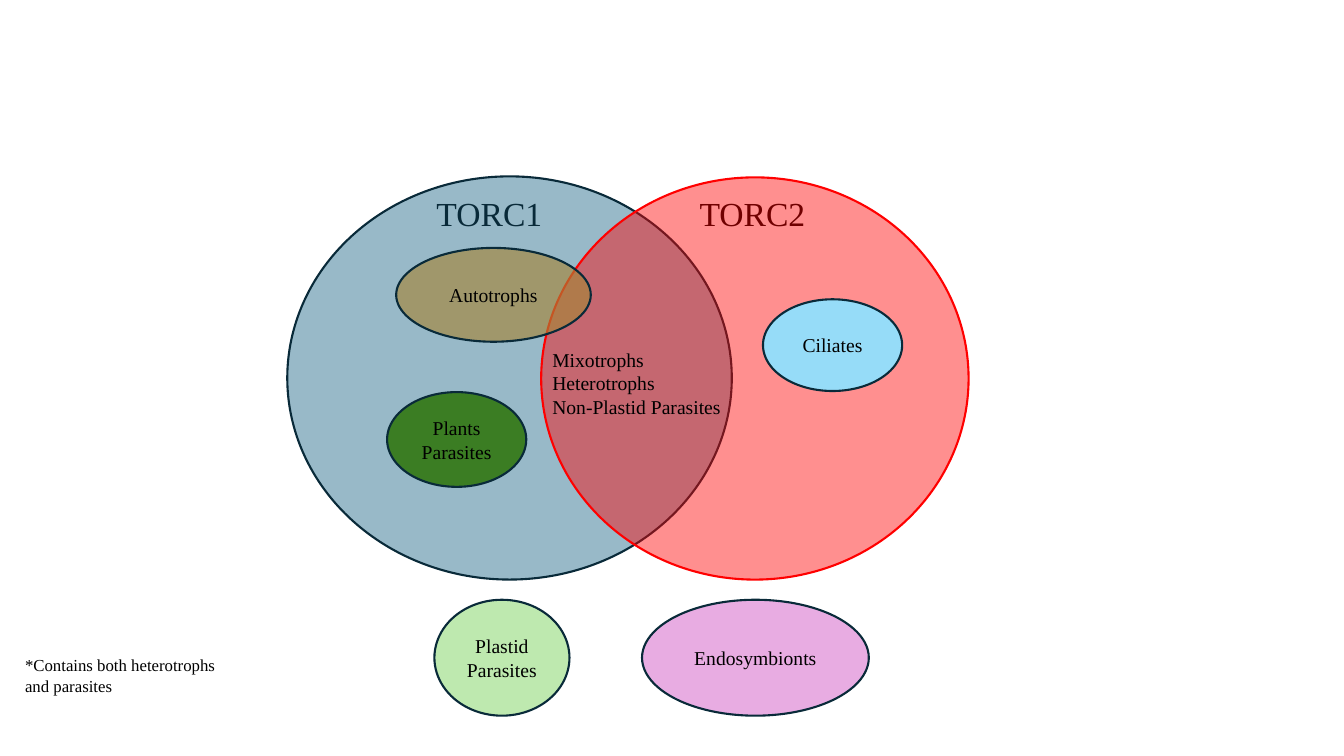
import pptx
import pptx.dml.color
import pptx.enum.shapes
import pptx.enum.text
import pptx.oxml.ns
import pptx.util
from lxml import etree

Pt = pptx.util.Pt
LEFT = pptx.enum.text.PP_ALIGN.LEFT
CENTER = pptx.enum.text.PP_ALIGN.CENTER


def color(hex_string):
    return pptx.dml.color.RGBColor.from_string(hex_string)


def write(shape, lines, size, alignment):
    text_frame = shape.text_frame
    text_frame.word_wrap = True
    text_frame.text = "\n".join(lines)
    for paragraph in text_frame.paragraphs:
        paragraph.alignment = alignment
        paragraph.font.name = "Times New Roman"
        paragraph.font.size = Pt(size)
        paragraph.font.color.rgb = color("000000")


presentation = pptx.Presentation()
presentation.slide_width = Pt(960)
presentation.slide_height = Pt(540)
slide = presentation.slides.add_slide(presentation.slide_layouts[6])

labels = [
    (480.2, 133.9, 114.5, 36, ["TORC2"], 24, CENTER),
    (292.3, 133.9, 114.5, 36, ["TORC1"], 24, CENTER),
    (387.4, 244.8, 139, 58.3, ["Mixotrophs", "Heterotrophs", "Non-Plastid Parasites"], 14, LEFT),
    (10.8, 464.4, 157, 36, ["*Contains both heterotrophs and parasites"], 12, LEFT),
]
ellipses = [
    (205.2, 126, 317.5, 288, "156082", 44, "092A39", ""),
    (386.6, 126.7, 305.3, 287.3, "FF0000", 44, "FF0000", ""),
    (283, 177.1, 139, 67, "A58537", 64, "092A39", "Autotrophs"),
    (310.3, 428.4, 96.5, 82.8, "8ED973", 57, "092A39", "Plastid Parasites"),
    (458.6, 428.4, 162, 82.8, "D86ECC", 57, "092A39", "Endosymbionts"),
    (276.5, 280.1, 99.4, 67.7, "3B7D23", 100, "092A39", "Plants Parasites"),
    (545, 213.8, 99.4, 65.5, "96DCF8", 100, "092A39", "Ciliates"),
]

circle_count = 2
title_count = 2
drawing_order = (
    labels[:title_count] + ellipses[:circle_count]
    + labels[title_count:] + ellipses[circle_count:]
)

for left, top, width, height, *details in drawing_order:
    bounds = Pt(left), Pt(top), Pt(width), Pt(height)
    if len(details) == 3:
        label = slide.shapes.add_textbox(*bounds)
        write(label, *details)
        label.text_frame.auto_size = pptx.enum.text.MSO_AUTO_SIZE.SHAPE_TO_FIT_TEXT
        continue
    fill, opacity, outline, name = details
    ellipse = slide.shapes.add_shape(pptx.enum.shapes.MSO_SHAPE.OVAL, *bounds)
    ellipse.shadow.inherit = False
    ellipse.fill.solid()
    ellipse.fill.fore_color.rgb = color(fill)
    if opacity < 100:
        fill_color = ellipse.fill._xPr.find(".//" + pptx.oxml.ns.qn("a:srgbClr"))
        alpha = etree.SubElement(fill_color, pptx.oxml.ns.qn("a:alpha"))
        alpha.set("val", str(opacity * 1000))
    ellipse.line.color.rgb = color(outline)
    ellipse.line.width = Pt(1.5)
    if name:
        write(ellipse, [name], 14, CENTER)
        ellipse.text_frame.vertical_anchor = pptx.enum.text.MSO_ANCHOR.MIDDLE

presentation.save("out.pptx")
